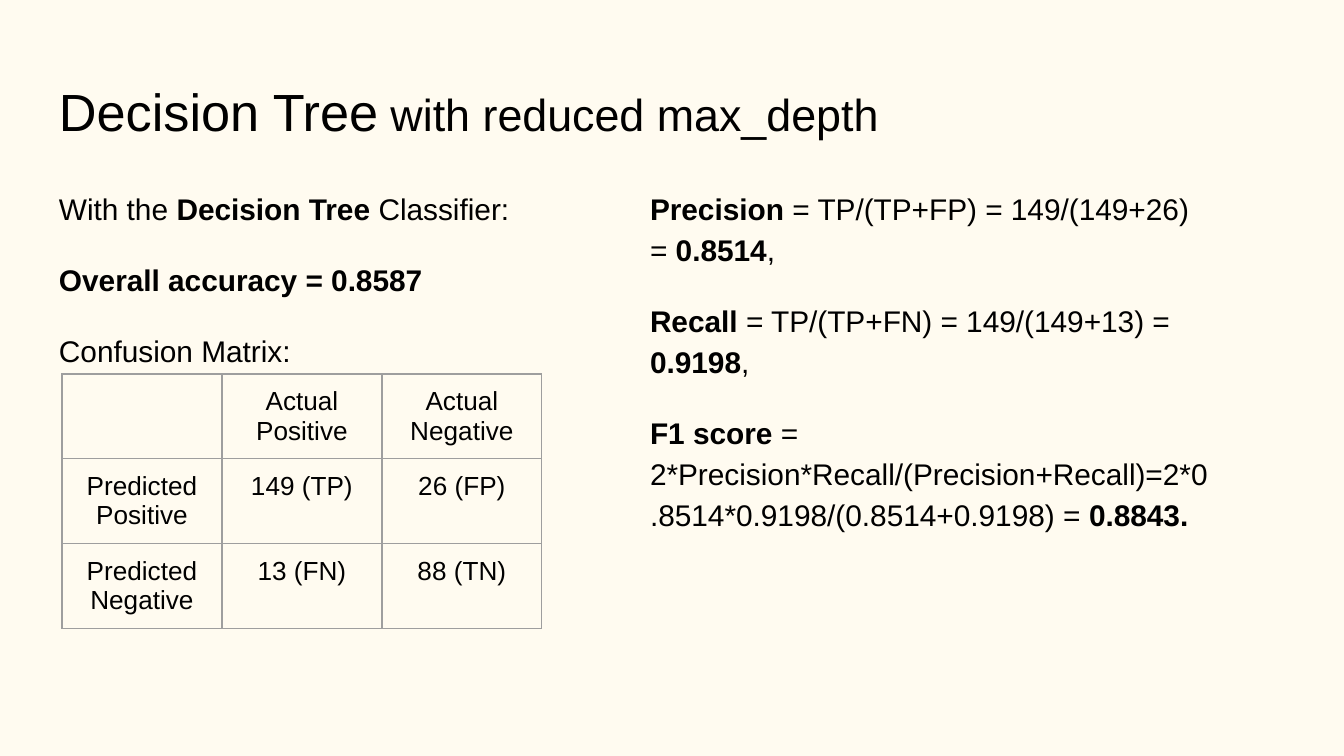
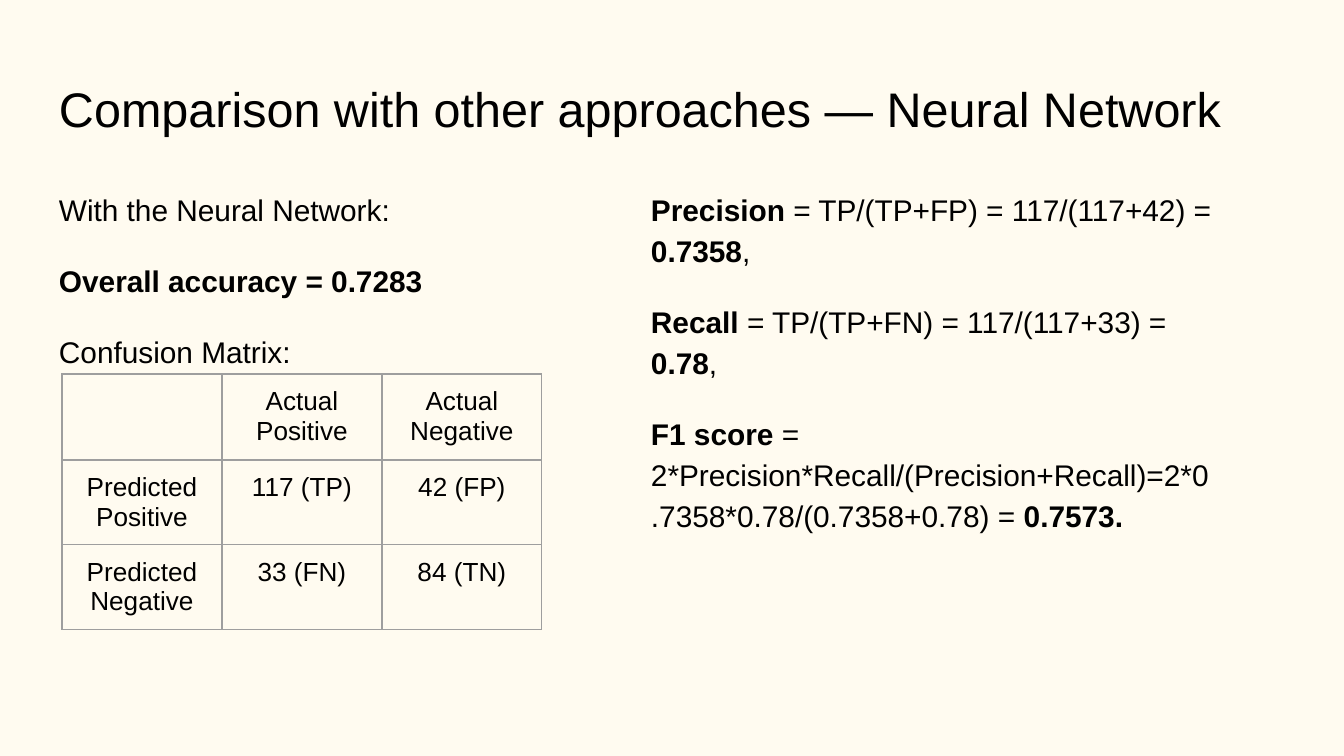
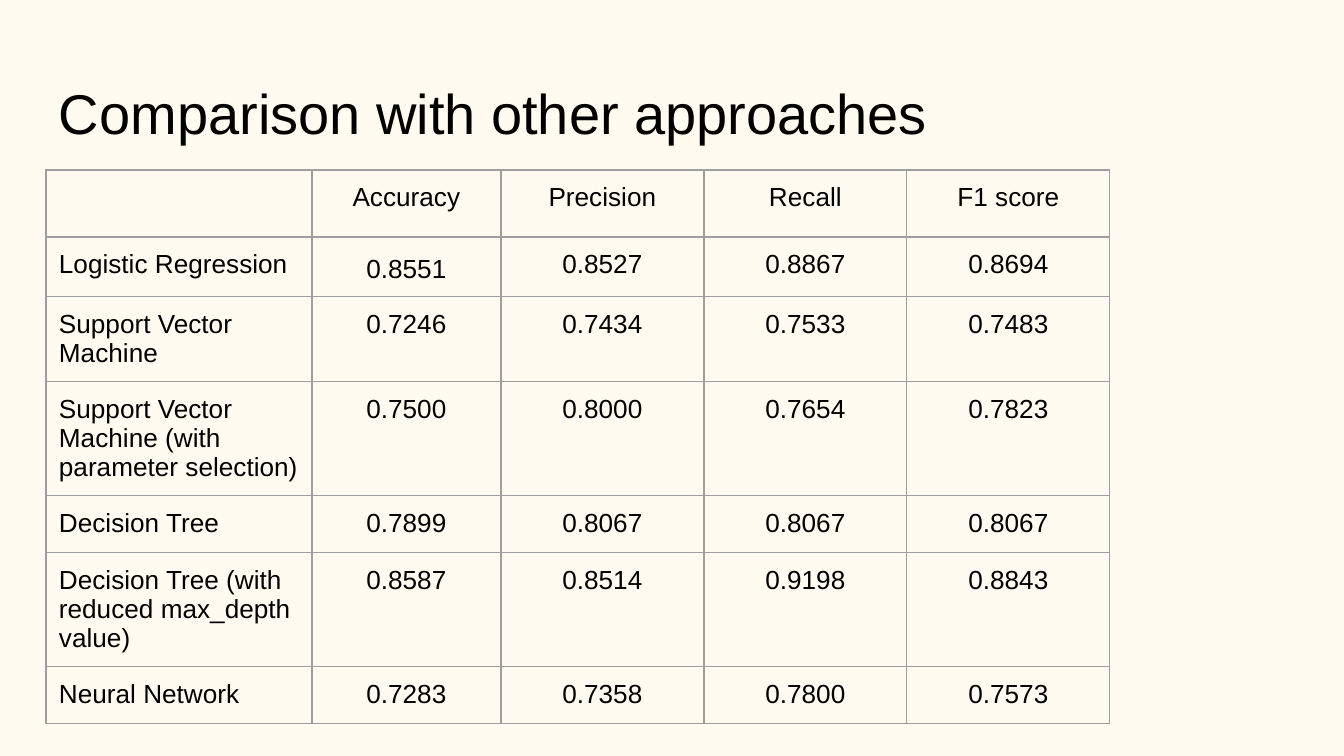
import pptx
import pptx.dml.color
import pptx.enum.text
import pptx.oxml
import pptx.oxml.ns
import pptx.util

THEME = {
    "font": "Arial",
    "ink": "000000",
    "paper": "FFFBF0",
    "rule": "9E9E9E",
    "rule_points": 0.75,
    "body_size": 16,
    "table_size": 14,
    "paragraph_gap": 16,
    "line_spacing": 1.15,
}
PX = 914400 / 134.4
SLIDE_SIZE = (1344, 756)
INSET = 13
TITLE_AREA = (46, 66, 1253, 90)
BODY_SIZE = (587, 500)
TWO_COLUMNS, TITLE_ONLY = 3, 5
LEFT = pptx.enum.text.PP_ALIGN.LEFT
CENTER = pptx.enum.text.PP_ALIGN.CENTER

# Text between bars is bold.
CLASSIFIERS = [
    {
        "title": [("Decision Tree", 28), (" with reduced max_depth", 24)],
        "summary": ["With the |Decision Tree| Classifier:",
                    "|Overall accuracy = 0.8587|",
                    "Confusion Matrix:"],
        "scores": ["|Precision| = TP/(TP+FP) = 149/(149+26) = |0.8514|,",
                   "|Recall| = TP/(TP+FN) = 149/(149+13) = |0.9198|,",
                   "|F1 score |= 2*Precision*Recall/(Precision+Recall)"
                   "=2*0.8514*0.9198/(0.8514+0.9198) = |0.8843.|"],
        "matrix": [("149 (TP)", "26 (FP)"), ("13 (FN)", "88 (TN)")],
        "body_top": 172,
        "scores_left": 637,
        "row_heights": (57, 57, 57),
    },
    {
        "title": [("Comparison with other approaches — Neural Network", 26)],
        "summary": ["With the Neural Network:",
                    "|Overall accuracy = 0.7283|",
                    "Confusion Matrix:"],
        "scores": ["|Precision| = TP/(TP+FP) = 117/(117+42) = |0.7358|,",
                   "|Recall| = TP/(TP+FN) = 117/(117+33) = |0.78|,",
                   "|F1 score |= 2*Precision*Recall/(Precision+Recall)"
                   "=2*0.7358*0.78/(0.7358+0.78) = |0.7573.|"],
        "matrix": [("117 (TP)", "42 (FP)"), ("33 (FN)", "84 (TN)")],
        "body_top": 173,
        "scores_left": 638,
        "row_heights": (86, 57, 57),
    },
]
COMPARISON_TITLE = [("Comparison with other approaches", 30)]
COMPARISON = [
    ("", "Accuracy", "Precision", "Recall", "F1 score"),
    ("Logistic Regression", "0.8551", "0.8527", "0.8867", "0.8694"),
    ("Support Vector Machine", "0.7246", "0.7434", "0.7533", "0.7483"),
    ("Support Vector Machine (with parameter selection)",
     "0.7500", "0.8000", "0.7654", "0.7823"),
    ("Decision Tree", "0.7899", "0.8067", "0.8067", "0.8067"),
    ("Decision Tree (with reduced max_depth value)",
     "0.8587", "0.8514", "0.9198", "0.8843"),
    ("Neural Network", "0.7283", "0.7358", "0.7800", "0.7573"),
]


def px(length):
    return pptx.util.Emu(round(length * PX))


def color(name):
    return pptx.dml.color.RGBColor.from_string(THEME[name])


def style_paragraph(para, size, alignment=LEFT):
    para.alignment = alignment
    para.font.name = THEME["font"]
    para.font.size = pptx.util.Pt(size)
    para.font.color.rgb = color("ink")


def place(box, area):
    box.left, box.top, box.width, box.height = map(px, area)
    frame = box.text_frame
    frame.word_wrap = True
    frame.auto_size = pptx.enum.text.MSO_AUTO_SIZE.NONE
    frame.vertical_anchor = pptx.enum.text.MSO_ANCHOR.TOP
    frame.margin_left = frame.margin_right = px(INSET)
    frame.margin_top = frame.margin_bottom = px(INSET)
    return frame


def add_page(deck, layout, title):
    page = deck.slides.add_slide(deck.slide_layouts[layout])
    para = place(page.shapes.title, TITLE_AREA).paragraphs[0]
    style_paragraph(para, title[0][1])
    for text, size in title:
        span = para.add_run()
        span.text = text
        span.font.size = pptx.util.Pt(size)
    return page


def fill_body(box, area, lines):
    frame = place(box, area)
    for index, line in enumerate(lines):
        para = frame.add_paragraph() if index else frame.paragraphs[0]
        style_paragraph(para, THEME["body_size"])
        para.line_spacing = THEME["line_spacing"]
        para.space_before = pptx.util.Pt(THEME["paragraph_gap"] if index else 0)
        properties = para._p.get_or_add_pPr()
        properties.set("marL", "0")
        properties.set("indent", "0")
        bullet = pptx.oxml.parse_xml(f'<a:buNone {pptx.oxml.ns.nsdecls("a")}/>')
        properties.find(pptx.oxml.ns.qn("a:defRPr")).addprevious(bullet)
        for position, text in enumerate(line.split("|")):
            if text:
                span = para.add_run()
                span.text = text
                span.font.bold = position % 2 == 1


def style_cell(cell):
    cell.margin_left = cell.margin_right = px(INSET)
    cell.margin_top = cell.margin_bottom = px(INSET)
    properties = cell._tc.get_or_add_tcPr()
    width = pptx.util.Pt(THEME["rule_points"])
    for side in "LRTB":
        properties.append(pptx.oxml.parse_xml(
            f'<a:ln{side} {pptx.oxml.ns.nsdecls("a")} w="{width}"><a:solidFill>'
            f'<a:srgbClr val="{THEME["rule"]}"/></a:solidFill></a:ln{side}>'))
    cell.fill.background()


def add_grid(page, left, top, widths, heights, rows, label_alignment=CENTER):
    area = map(px, (left, top, sum(widths), sum(heights)))
    table = page.shapes.add_table(len(rows), len(widths), *area).table
    table.first_row = table.horz_banding = False
    for column, width in zip(table.columns, widths):
        column.width = px(width)
    for row, height, texts in zip(table.rows, heights, rows):
        row.height = px(height)
        for index, (cell, text) in enumerate(zip(row.cells, texts)):
            style_cell(cell)
            if text:
                cell.text = text
                style_paragraph(cell.text_frame.paragraphs[0], THEME["table_size"],
                                CENTER if index else label_alignment)
    return table


def add_classifier(deck, content):
    page = add_page(deck, TWO_COLUMNS, content["title"])
    summary, scores = list(page.placeholders)[1:]
    top = content["body_top"]
    fill_body(summary, (TITLE_AREA[0], top, *BODY_SIZE), content["summary"])
    fill_body(scores, (content["scores_left"], top, *BODY_SIZE), content["scores"])
    positive, negative = content["matrix"]
    rows = [("", "Actual Positive", "Actual Negative"),
            ("Predicted Positive", *positive),
            ("Predicted Negative", *negative)]
    add_grid(page, 62, 374, [160] * 3, content["row_heights"], rows)


def add_comparison(deck):
    page = add_page(deck, TITLE_ONLY, COMPARISON_TITLE)
    heights = [35] + [57] * (len(COMPARISON) - 1)
    table = add_grid(page, 46, 170, [266, 189, 203, 203, 203], heights,
                     COMPARISON, LEFT)
    first_score = table.cell(1, 1).text_frame.paragraphs[0]
    first_score.line_spacing = THEME["line_spacing"]
    first_score.space_after = pptx.util.Pt(THEME["paragraph_gap"])


def main():
    deck = pptx.Presentation()
    deck.slide_width, deck.slide_height = map(px, SLIDE_SIZE)
    paper = deck.slide_master.background.fill
    paper.solid()
    paper.fore_color.rgb = color("paper")
    for content in CLASSIFIERS:
        add_classifier(deck, content)
    add_comparison(deck)
    deck.save("out.pptx")


if __name__ == "__main__":
    main()
